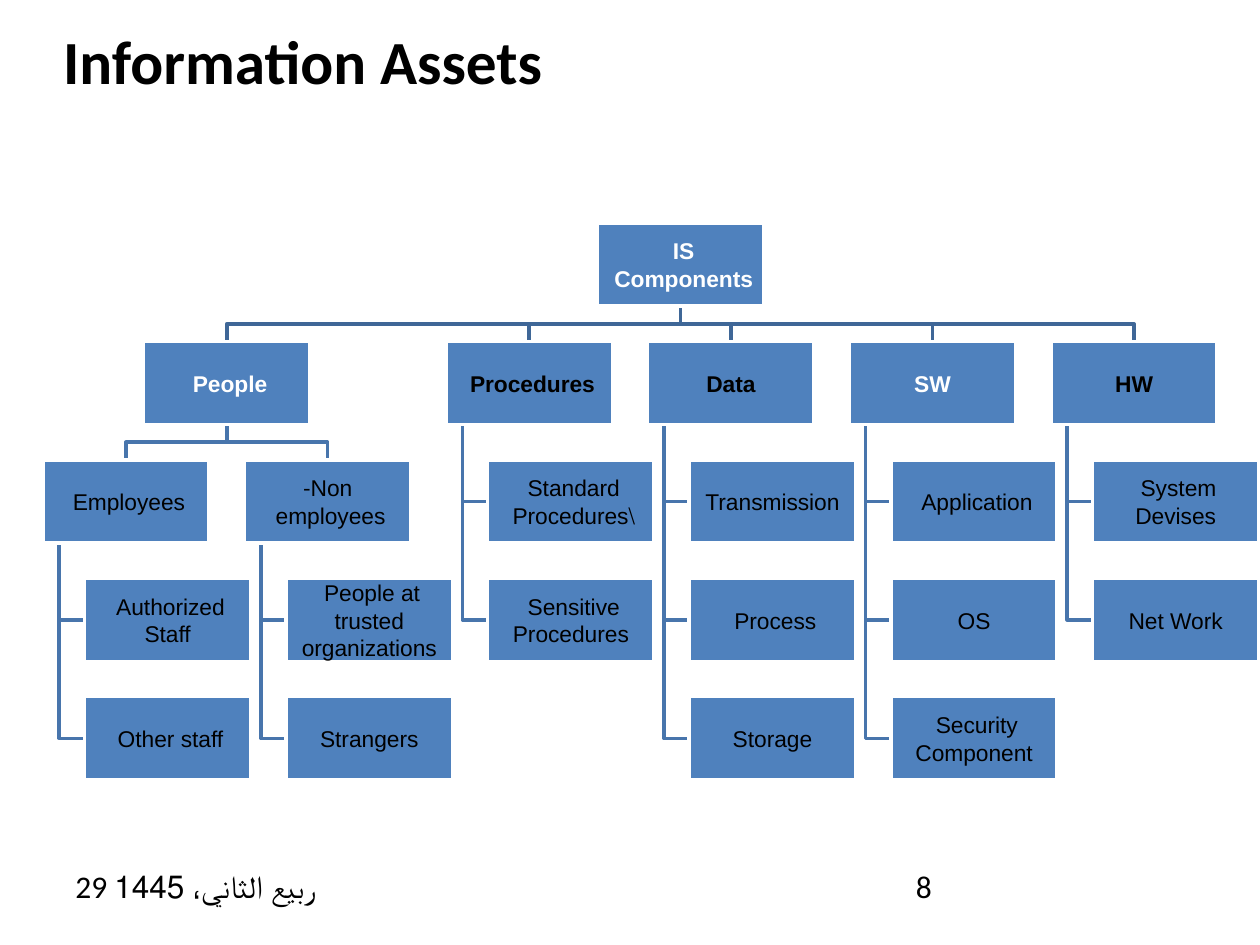
from pptx import Presentation
from pptx.dml.color import RGBColor
from pptx.enum.shapes import MSO_SHAPE
from pptx.enum.text import MSO_ANCHOR, PP_ALIGN
from pptx.util import Inches, Pt

RECT = MSO_SHAPE.RECTANGLE
MIDDLE = MSO_ANCHOR.MIDDLE
LEFT, CENTER = PP_ALIGN.LEFT, PP_ALIGN.CENTER

# Content: each node is (label, children)
TITLE = "Information Assets"
TREE = ("IS \nComponents ", [
    ("People ", [
        ("Employees ", [("Authorized \nStaff", []), ("Other staff ", [])]),
        ("Non-\nemployees ", [
            ("People at \ntrusted\n organizations ", []),
            ("Strangers", []),
        ]),
    ]),
    ("Procedures ", [
        ("Standard \n\\Procedures ", []),
        ("Sensitive \nProcedures", []),
    ]),
    ("Data", [("Transmission", []), ("Process ", []), ("Storage", [])]),
    ("SW", [
        ("Application ", []),
        ("OS", []),
        ("Security \nComponent", []),
    ]),
    ("HW", [("System \nDevises", []), ("Net Work", [])]),
])
LIGHT = {TREE[0], "People ", "SW"}  # labels in white
FOOTER = [(0.5, "29 ربيع الثاني، 1445"), (7.17, "8")]

THEME = {
    "head": "Calibri", "body": "Arial",
    "title": 35, "foot": 18, "label": 13, "line": 2,
    "black": RGBColor(0, 0, 0), "white": RGBColor(255, 255, 255),
    "box": RGBColor(0x4F, 0x81, 0xBD),
    "trunk": RGBColor(0x3F, 0x67, 0x97),
    "branch": RGBColor(0x48, 0x75, 0xAC),
}

# Grid, in inches
WIDE, HIGH = 1.32, 0.66
X0, Y0 = 0.34, 1.77
COL, ROW = 1.6, 0.94
INDENT, STEM = 0.33, 0.13


def style(frame, font, size, color, bold=False, align=LEFT):
    for para in frame.paragraphs:
        para.alignment = align
        for run in para.runs:
            run.font.name, run.font.size = font, Pt(size)
            run.font.bold, run.font.color.rgb = bold, color


def lay(node, level, column, boxes, links):
    """Place a node and its children; return its left edge and next column."""
    label, kids = node
    top = Y0 + ROW * level
    base = top + HIGH
    if any(grand for _, grand in kids):
        # Children side by side, parent centred above them
        lefts = []
        for kid in kids:
            edge, column = lay(kid, level + 1, column, boxes, links)
            lefts.append(edge)
        left = (lefts[0] + lefts[-1]) / 2
        mid, end = left + WIDE / 2, top + ROW
        bend = (base + end) / 2
        for edge in lefts:
            x = edge + WIDE / 2
            links.append((level, [(mid, base), (mid, bend),
                                  (x, bend), (x, end)]))
    else:
        # Children stacked below, hung from a stem
        left = X0 + COL * column
        column += 1
        stem = left + STEM
        for i, (text, _) in enumerate(kids, 1):
            y = top + ROW * i
            boxes.append((text, level + i, left + INDENT, y, False))
            mid = y + HIGH / 2
            links.append((level, [(stem, base), (stem, mid),
                                  (left + INDENT, mid)]))
    boxes.append((label, level, left, top, level < 2))
    return left, column


def draw_link(slide, level, points):
    start, *rest = [(Inches(x), Inches(y)) for x, y in points]
    pen = slide.shapes.build_freeform(*start)
    pen.add_line_segments(rest, close=False)
    link = pen.convert_to_shape()
    link.shadow.inherit = False
    link.fill.background()
    link.line.width = Pt(THEME["line"])
    link.line.color.rgb = THEME["branch" if level else "trunk"]


def draw_box(slide, label, left, top, bold):
    box = slide.shapes.add_shape(
        RECT, Inches(left), Inches(top), Inches(WIDE), Inches(HIGH))
    box.shadow.inherit = False
    box.fill.solid()
    box.fill.fore_color.rgb = THEME["box"]
    box.line.color.rgb = THEME["white"]
    box.line.width = Pt(THEME["line"])
    frame = box.text_frame
    frame.word_wrap, frame.vertical_anchor = True, MIDDLE
    frame.margin_left = frame.margin_right = Inches(0.01)
    frame.margin_top = frame.margin_bottom = Inches(0.01)
    frame.text = label
    color = THEME["white" if label in LIGHT else "black"]
    style(frame, THEME["body"], THEME["label"], color, bold, CENTER)
    for para in frame.paragraphs:
        para._p.get_or_add_pPr().set("rtl", "1")


def main():
    deck = Presentation()
    deck.slide_width, deck.slide_height = Inches(10), Inches(7.5)
    slide = deck.slides.add_slide(deck.slide_layouts[5])

    # Title
    title = slide.shapes.title
    title.left, title.top = Inches(0.5), Inches(0.13)
    title.width, title.height = Inches(8.25), Inches(0.7)
    frame = title.text_frame
    frame.margin_left = frame.margin_right = 0
    frame.margin_top = frame.margin_bottom = 0
    frame.vertical_anchor = MIDDLE
    frame.text = TITLE
    style(frame, THEME["head"], THEME["title"], THEME["black"], True)

    # Date and page number
    for left, text in FOOTER:
        note = slide.shapes.add_textbox(
            Inches(left), Inches(6.83), Inches(2.33), Inches(0.5))
        note.text_frame.word_wrap = True
        note.text_frame.text = text
        style(note.text_frame, THEME["head"], THEME["foot"], THEME["black"])

    # Tree: links behind, boxes in front
    boxes, links = [], []
    lay(TREE, 0, 0, boxes, links)
    for level, points in links:
        draw_link(slide, level, points)
    for label, _, left, top, bold in boxes:
        draw_box(slide, label, left, top, bold)

    deck.save("out.pptx")


if __name__ == "__main__":
    main()
